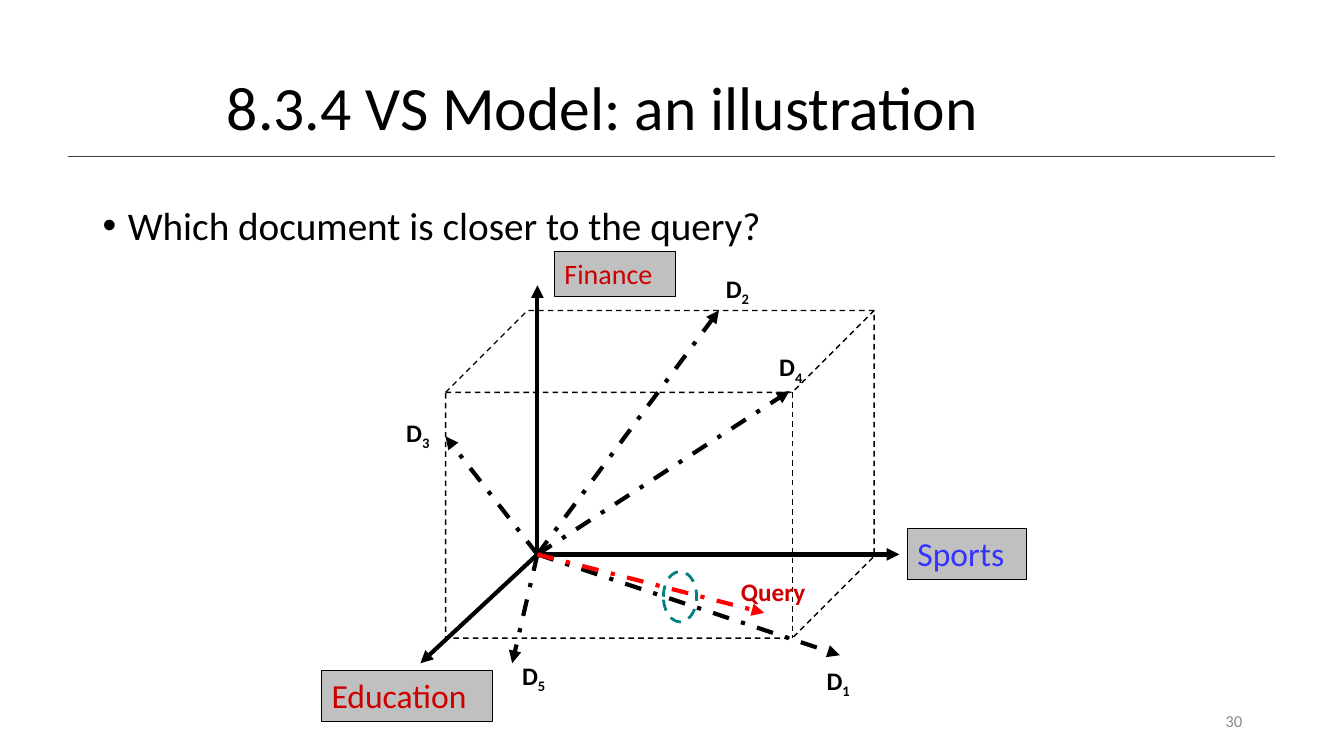
from dataclasses import dataclass
from lxml.etree import SubElement
from pptx import Presentation
from pptx.dml.color import RGBColor
from pptx.enum.dml import MSO_LINE
from pptx.enum.shapes import MSO_CONNECTOR, MSO_SHAPE
from pptx.enum.text import MSO_ANCHOR, MSO_AUTO_SIZE, PP_ALIGN
from pptx.oxml.ns import qn
from pptx.util import Inches, Pt


@dataclass(frozen=True)
class Theme:
    font: str = "Calibri"
    black: str = "000000"
    rule: str = "404040"
    muted: str = "8C8C8C"
    box: str = "C0C0C0"
    crimson: str = "CC0000"
    red: str = "FF0000"
    blue: str = "3333FF"
    teal: str = "008080"
    title: int = 44
    body: int = 28
    axis: int = 24
    small: int = 20
    label: int = 18
    foot: int = 12


theme = Theme()


def write(para, text, size, color, bold=False):
    run = para.add_run()
    run.text = text
    font = run.font
    font.name, font.size, font.bold = theme.font, Pt(size), bold
    font.color.rgb = RGBColor.from_string(color)
    return run


def draw(start, end, color, width, dash=None, head=True):
    ends = [Inches(n) for n in (*start, *end)]
    link = slide.shapes.add_connector(MSO_CONNECTOR.STRAIGHT, *ends)
    link.line.color.rgb = RGBColor.from_string(color)
    link.line.width = Pt(width)
    if dash:
        link.line.dash_style = dash
    if head:
        SubElement(link.line._get_or_add_ln(), qn("a:tailEnd"), type="triangle")
    SubElement(link._element.spPr, qn("a:effectLst"))


deck = Presentation()
deck.slide_width, deck.slide_height = Inches(13.33), Inches(7.5)
slide = deck.slides.add_slide(deck.slide_layouts[5])
shapes = slide.shapes

draw((0.67, 1.55), (12.65, 1.55), theme.rule, 1, head=False)

title = shapes.title
title.left, title.top = Inches(2.15), Inches(0.67)
title.width, title.height = Inches(8.62), Inches(0.85)
title.text_frame.vertical_anchor = MSO_ANCHOR.MIDDLE
para = title.text_frame.paragraphs[0]
para.alignment, para.line_spacing = PP_ALIGN.LEFT, 0.9
write(para, "8.3.4 VS Model: an illustration", theme.title, theme.black)

body = shapes.add_textbox(Inches(0.92), Inches(2), Inches(11.5), Inches(4.76))
body.text_frame.word_wrap = True
para = body.text_frame.paragraphs[0]
para.line_spacing, para.space_before = 0.9, Pt(10)
props = para._p.get_or_add_pPr()
props.set("marL", str(Inches(0.25)))
props.set("indent", str(-Inches(0.25)))
SubElement(props, qn("a:buFont"), typeface="Arial")
SubElement(props, qn("a:buChar"), char="•")
write(para, "Which document is closer to the query?", theme.body, theme.black)

foot = shapes.add_textbox(Inches(9.42), Inches(6.95), Inches(3), Inches(0.4))
foot.text_frame.word_wrap = True
foot.text_frame.vertical_anchor = MSO_ANCHOR.MIDDLE
para = foot.text_frame.paragraphs[0]
para.alignment = PP_ALIGN.RIGHT
write(para, "30", theme.foot, theme.muted)

cube = shapes.add_shape(
    MSO_SHAPE.CUBE, Inches(4.42), Inches(3.08), Inches(4.25), Inches(3.25)
)
cube.adjustments[0] = 0.25
cube.shadow.inherit = False
cube.fill.background()
cube.line.color.rgb = RGBColor.from_string(theme.black)
cube.line.width, cube.line.dash_style = Pt(1), MSO_LINE.DASH

hub = (5.33, 5.5)
for tip in [(4.17, 6.58), (8.92, 5.5), (5.33, 2.83)]:
    draw(hub, tip, theme.black, 3)

topics = [
    ("Sports", 9, 5.24, 1.18, 0.51, theme.axis, theme.blue),
    ("Education", 3.19, 6.65, 1.7, 0.51, theme.axis, theme.crimson),
    ("Finance", 5.5, 2.5, 1.2, 0.44, theme.small, theme.crimson),
]
for name, left, top, width, height, size, color in topics:
    box = shapes.add_shape(
        MSO_SHAPE.RECTANGLE, Inches(left), Inches(top), Inches(width), Inches(height)
    )
    box.shadow.inherit = False
    box.fill.solid()
    box.fill.fore_color.rgb = RGBColor.from_string(theme.box)
    box.line.color.rgb = RGBColor.from_string(theme.black)
    box.line.width = Pt(0.75)
    frame = box.text_frame
    frame.word_wrap, frame.auto_size = False, MSO_AUTO_SIZE.SHAPE_TO_FIT_TEXT
    frame.vertical_anchor = MSO_ANCHOR.TOP
    frame.paragraphs[0].alignment = PP_ALIGN.LEFT
    write(frame.paragraphs[0], name, size, color)

black, red = (theme.black, theme.black), (theme.red, theme.crimson)
vectors = [
    ("D", "4", (7.83, 3.88), (7.63, 3.44, 0.48, 0.51), black),
    ("D", "5", (5.08, 6.58), (5.08, 6.5, 0.48, 0.51), black),
    ("D", "2", (7.13, 3.08), (7.1, 2.66, 0.48, 0.51), black),
    ("D", "1", (8.33, 6.5), (8.1, 6.55, 0.48, 0.51), black),
    ("D", "3", (4.42, 4.33), (3.93, 4.09, 0.48, 0.51), black),
    ("Query", "", (7.58, 6.08), (7.25, 5.67, 0.93, 0.4), red),
]
for name, sub, tip, place, (stroke, ink) in vectors:
    draw(hub, tip, stroke, 3, MSO_LINE.DASH_DOT)
    label = shapes.add_textbox(*[Inches(n) for n in place])
    frame = label.text_frame
    frame.word_wrap, frame.auto_size = False, MSO_AUTO_SIZE.SHAPE_TO_FIT_TEXT
    write(frame.paragraphs[0], name, theme.label, ink, True)
    if sub:
        run = write(frame.paragraphs[0], sub, theme.label, ink, True)
        run.font._element.set("baseline", "-25000")

ring = shapes.add_shape(
    MSO_SHAPE.OVAL, Inches(6.58), Inches(5.67), Inches(0.33), Inches(0.5)
)
ring.shadow.inherit = False
ring.fill.background()
ring.line.color.rgb = RGBColor.from_string(theme.teal)
ring.line.width, ring.line.dash_style = Pt(2), MSO_LINE.DASH

deck.save("out.pptx")
